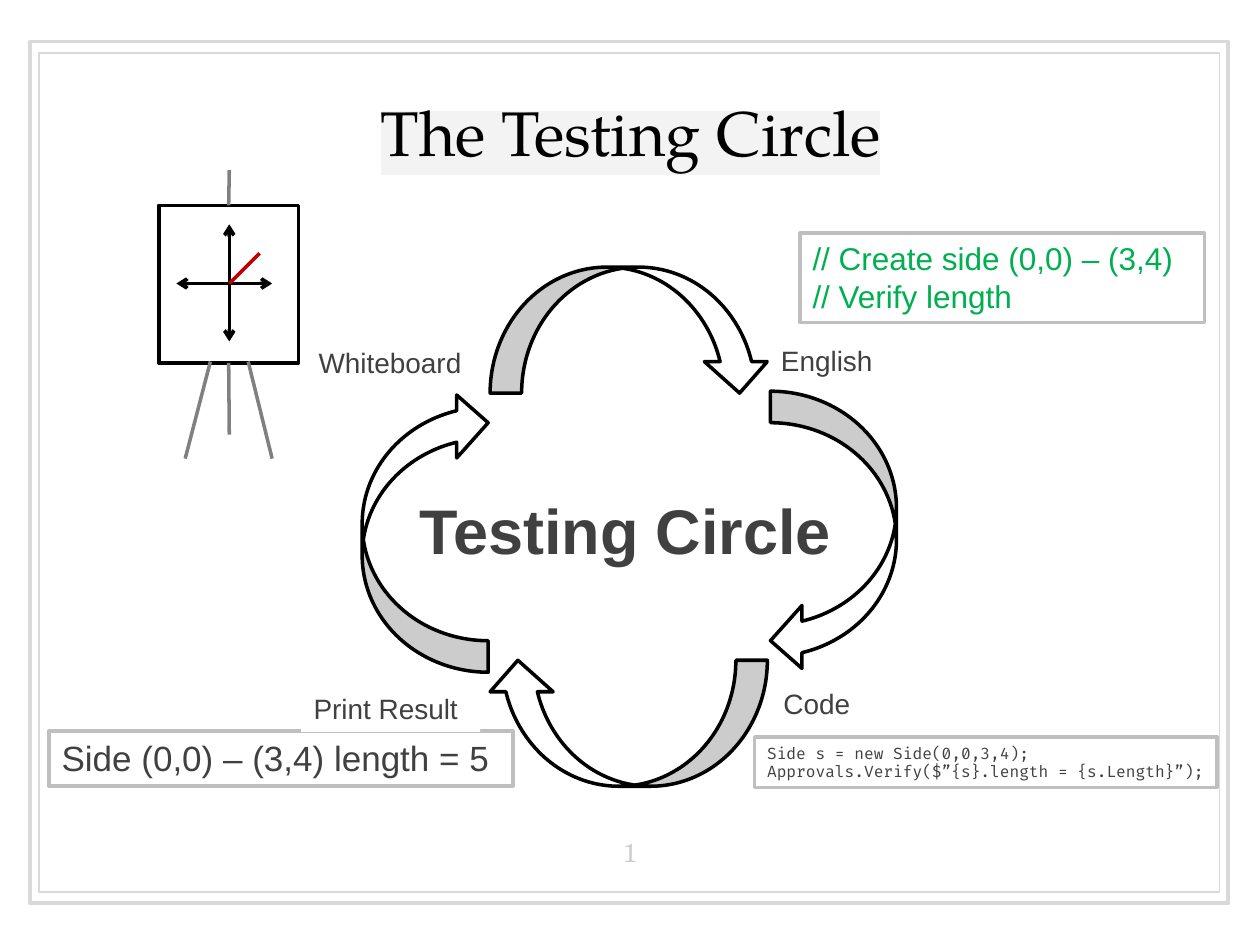
from lxml import etree
from pptx import Presentation
from pptx.dml.color import RGBColor
from pptx.enum.shapes import MSO_CONNECTOR, MSO_SHAPE
from pptx.enum.text import MSO_ANCHOR, PP_ALIGN
from pptx.oxml.ns import qn
from pptx.util import Inches, Pt

RECT, CURVED = MSO_SHAPE.RECTANGLE, MSO_SHAPE.CURVED_DOWN_ARROW
STRAIGHT = MSO_CONNECTOR.STRAIGHT
TOP, MIDDLE, BOTTOM = MSO_ANCHOR.TOP, MSO_ANCHOR.MIDDLE, MSO_ANCHOR.BOTTOM
LEFT, CENTER = PP_ALIGN.LEFT, PP_ALIGN.CENTER
BLACK, WHITE, GREY, DARK = "000000", "FFFFFF", "808080", "404040"

FRAMES = [((0.24, 0.33, 9.51, 6.84), 2.25), ((0.31, 0.42, 9.37, 6.66), 0.75)]
ARROW_SIZE = (2.23, 1)
ARROWS = [(2.26, 3.72, 270), (5.5, 3.72, 90), (3.89, 2.12, 0), (3.86, 5.24, 180)]
BOARD = (1.26, 1.63, 1.11, 1.25)
BOARD_TOP, BOARD_BOTTOM = 0, 2
LEGS = [
    ((1.82, 1.35), (1.82, 1.63), BOARD_TOP),
    ((1.47, 3.64), (1.67, 2.87), None),
    ((1.82, 3.45), (1.82, 2.87), BOARD_BOTTOM),
    ((2.16, 3.64), (1.97, 2.87), None),
]
AXES = [((1.82, 1.78), (1.82, 2.71)), ((1.4, 2.25), (2.16, 2.25))]
SIDE = ((1.82, 2.25), (2.06, 2.01))
EXAMPLES = [
    ((6.35, 1.85, 3.21, 0.71), ["// Create side (0,0) – (3,4)", "// Verify length"],
     dict(size=18, color="00B050")),
    ((5.99, 5.85, 3.67, 0.4),
     ["Side s = new Side(0,0,3,4);", "Approvals.Verify($”{s}.length = {s.Length}”);"],
     dict(size=9, font="Fira Code")),
    ((0.39, 5.8, 3.68, 0.44), ["Side (0,0) – (3,4) length = 5"], dict(size=20)),
]
LABELS = [
    ((6.1, 2.68, 1.23, 0.37), "English", {}),
    ((6.12, 5.4, 0.74, 0.37), "Code", dict(wrap=False)),
    ((2.43, 2.69, 1.42, 0.37), "Whiteboard", {}),
    ((2.39, 5.44, 1.42, 0.37), "Print Result", {}),
    ((3.23, 3.85, 3.62, 0.71), "Testing Circle", dict(size=36, bold=True)),
]


def rgb(color):
    """Turn a hex string into a colour."""
    return RGBColor.from_string(color)


def paint(sp, fill=None, line=None, width=2):
    """Set the fill and outline of a shape."""
    if fill:
        sp.fill.solid()
        sp.fill.fore_color.rgb = rgb(fill)
    else:
        sp.fill.background()
    if line:
        sp.line.color.rgb = rgb(line)
        sp.line.width = Pt(width)


def write(sp, lines, size=16, font="Arial", color=DARK, bold=False, align=LEFT,
          anchor=TOP, wrap=True, margin=None, highlight=None):
    """Write formatted paragraphs into a shape."""
    tf = sp.text_frame
    tf.word_wrap = wrap
    tf.vertical_anchor = anchor
    if margin is not None:
        tf.margin_left = tf.margin_right = Inches(margin)
        tf.margin_top = tf.margin_bottom = Inches(margin)
    for i, text in enumerate(lines):
        p = tf.add_paragraph() if i else tf.paragraphs[0]
        p.alignment = align
        r = p.add_run()
        r.text = text
        r.font.size, r.font.name, r.font.bold = Pt(size), font, bold
        r.font.color.rgb = rgb(color)
        if highlight:
            mark = etree.Element(qn("a:highlight"))
            etree.SubElement(mark, qn("a:srgbClr"), val=highlight)
            r.font._element.find(qn("a:solidFill")).addnext(mark)


def add_box(s, at, kind=RECT, **style):
    """Add a painted preset shape."""
    sp = s.shapes.add_shape(kind, *map(Inches, at))
    sp.shadow.inherit = False
    paint(sp, **style)
    return sp


def add_text(s, at, lines, fill=None, line=None, **style):
    """Add a text box."""
    sp = s.shapes.add_textbox(*map(Inches, at))
    paint(sp, fill, line)
    write(sp, lines, **style)


def add_line(s, start, end, color, arrows=False):
    """Add a straight line, with open arrowheads at both ends if asked."""
    c = s.shapes.add_connector(STRAIGHT, *map(Inches, start + end))
    c.line.color.rgb = rgb(color)
    c.line.width = Pt(2)
    if arrows:
        ln = c.line._get_or_add_ln()
        for tag in ("a:headEnd", "a:tailEnd"):
            etree.SubElement(ln, qn(tag), type="arrow")
    etree.SubElement(c._element.spPr, qn("a:effectLst"))
    return c


def main():
    """Build the slide and save it."""
    prs = Presentation()
    prs.slide_width, prs.slide_height = Inches(10), Inches(7.5)
    s = prs.slides.add_slide(prs.slide_layouts[5])

    for at, width in FRAMES:
        add_box(s, at, line="D9D9D9", width=width)

    title = s.shapes.title
    title.left, title.top, title.width, title.height = map(Inches, (0.24, 0.49, 9.53, 1.11))
    write(title, ["The Testing Circle"], size=36, font="TeX Gyre Pagella", color=BLACK,
          align=CENTER, anchor=MIDDLE, margin=0.13, highlight="F3F3F3")
    add_text(s, (4.6, 6.44, 0.8, 0.57), ["1"], size=14.7, font="TeX Gyre Schola",
             color="CCCCCC", align=CENTER, anchor=BOTTOM, margin=0.13)

    for left, top, rotation in ARROWS:
        arrow = add_box(s, (left, top) + ARROW_SIZE, CURVED, fill=WHITE, line=BLACK)
        arrow.rotation = rotation

    board = add_box(s, BOARD, fill=WHITE, line=BLACK)
    for start, end, site in LEGS:
        leg = add_line(s, start, end, GREY)
        if site is not None:
            leg.end_connect(board, site)
    for start, end in AXES:
        add_line(s, start, end, BLACK, arrows=True)
    add_line(s, *SIDE, "C00000")

    for at, lines, style in EXAMPLES:
        add_text(s, at, lines, fill=WHITE, line="BFBFBF", **style)
    for at, text, style in LABELS:
        add_text(s, at, [text], fill=WHITE, **style)

    prs.save("out.pptx")


if __name__ == "__main__":
    main()
